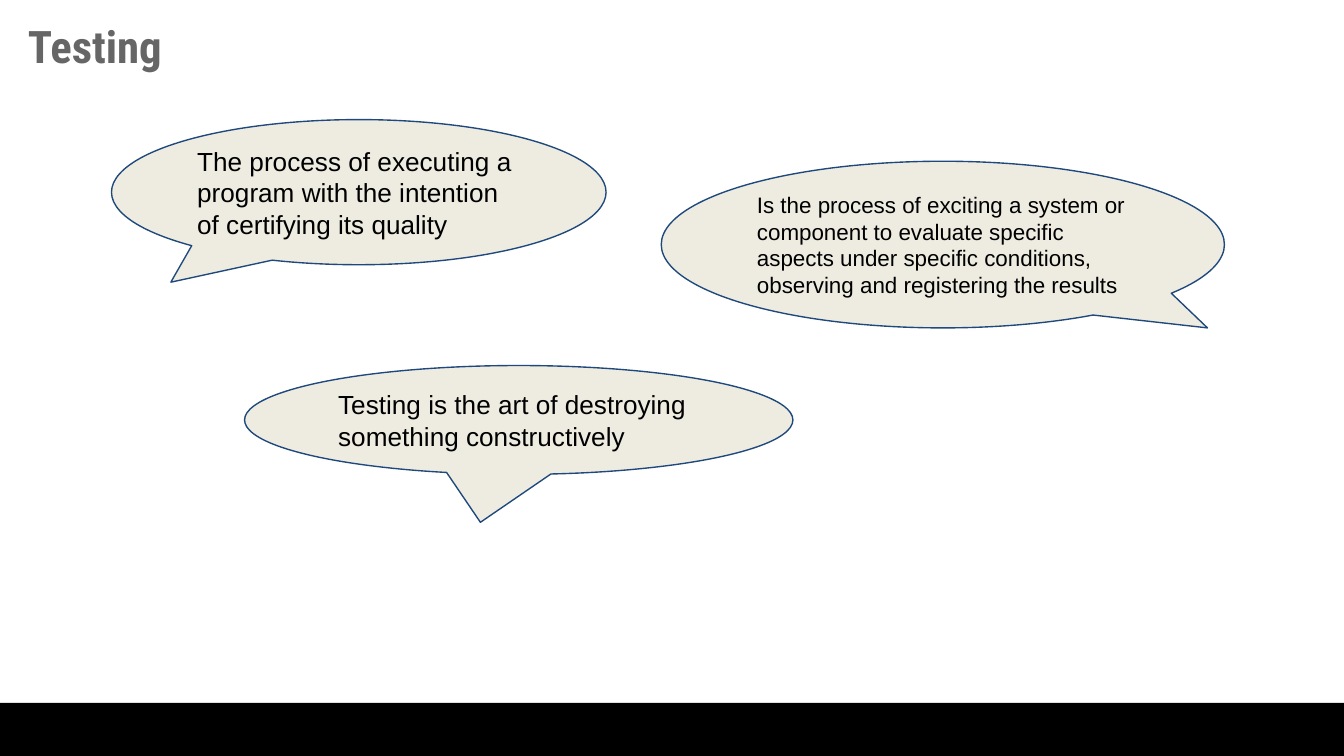
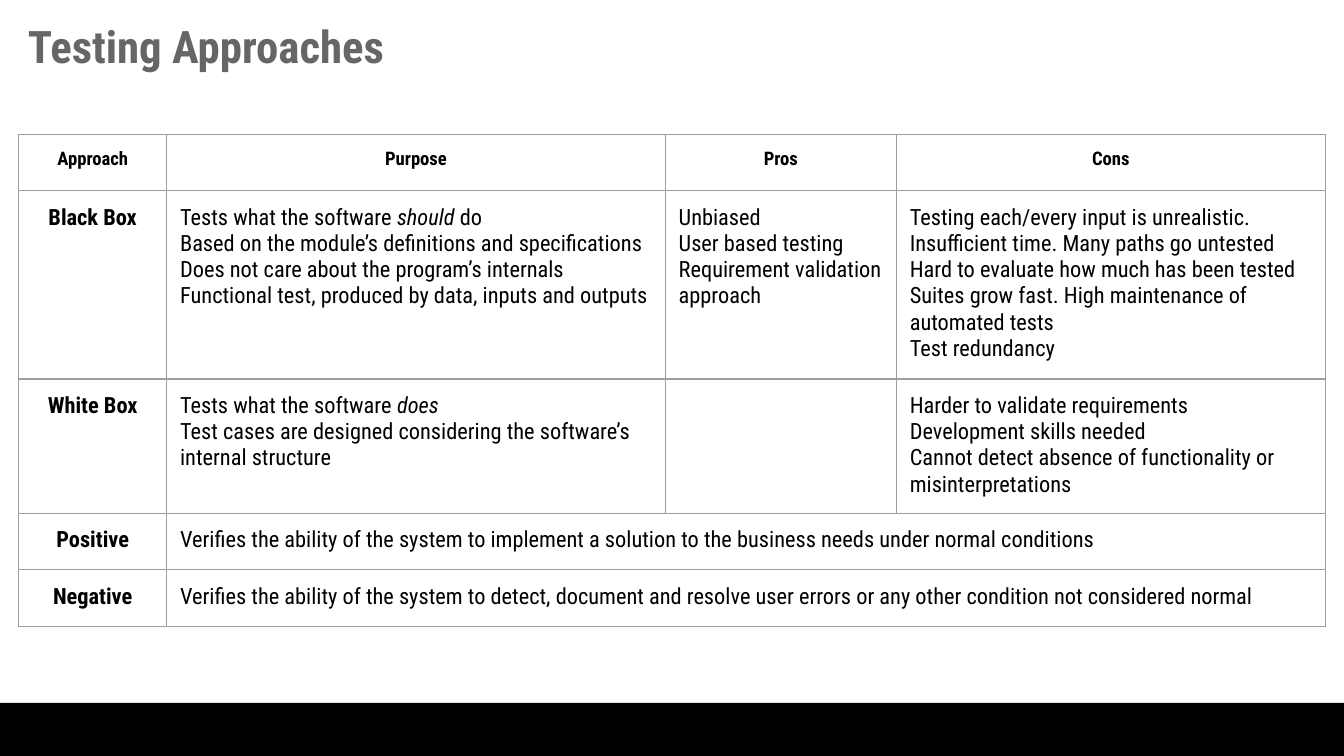
"""Builds two slides about software testing: definitions and approaches."""
from lxml.etree import SubElement
from pptx import Presentation
from pptx.dml.color import RGBColor
from pptx.enum.shapes import MSO_SHAPE as Shape
from pptx.enum.text import MSO_ANCHOR as Anchor, PP_ALIGN as Align
from pptx.oxml.ns import qn
from pptx.util import Inches, Pt

BLACK = RGBColor(0x00, 0x00, 0x00)
TITLE_GRAY = RGBColor(0x66, 0x66, 0x66)
BUBBLE_CREAM = RGBColor(0xEE, 0xEC, 0xE1)
BUBBLE_BLUE = RGBColor(0x1F, 0x49, 0x7D)
BORDER_GRAY = RGBColor(0x9E, 0x9E, 0x9E)
HEADING_FONT = "Roboto Condensed"
BUBBLE_FONT = "Arial"

deck = Presentation()
deck.slide_width = Inches(10)
deck.slide_height = Inches(5.625)
COLUMN = deck.slide_width / 100
ROW = deck.slide_height / 56.25
MARGIN = int(COLUMN)


def place(left, top, width, height):
    return int(left * COLUMN), int(top * ROW), int(width * COLUMN), int(height * ROW)


def write(holder, lines, font, size, color=BLACK, bold=False, align=Align.LEFT):
    frame = holder.text_frame
    frame.word_wrap = True
    for side in ("left", "right", "top", "bottom"):
        setattr(holder if hasattr(holder, "margin_left") else frame, f"margin_{side}", MARGIN)
    for index, line in enumerate(lines):
        para = frame.add_paragraph() if index else frame.paragraphs[0]
        para.alignment = align
        para.font.name, para.font.size, para.font.bold = font, Pt(size), bold
        para.font.color.rgb = color
        for part, words in enumerate(line.split("*")):
            if words:
                span = para.add_run()
                span.text = words
                span.font.name, span.font.size, span.font.bold = font, Pt(size), bold
                span.font.color.rgb = color
                span.font.italic = part % 2 == 1


pages = []
for title in ("Testing", "Testing Approaches"):
    page = deck.slides.add_slide(deck.slide_layouts[6])
    footer = page.shapes.add_shape(Shape.RECTANGLE, *place(0, 52.3, 100, 3.95))
    footer.shadow.inherit = False
    footer.fill.solid()
    footer.fill.fore_color.rgb = BLACK
    footer.line.fill.background()
    box = page.shapes.add_textbox(*place(1.1, 0.4, 60.6, 5))
    write(box, [title], HEADING_FONT, 24, TITLE_GRAY, bold=True)
    pages.append(page)
definitions_page, approaches_page = pages

definitions = [
    ((49.2, 12, 41.9, 12.4), (0.47, 0.5), 12,
     "Is the process of exciting a system or component to evaluate specific aspects "
     "under specific conditions, observing and registering the results"),
    ((8.3, 8.9, 36.8, 10.8), (-0.38, 0.62), 14,
     "The process of executing a program with the intention of certifying its quality"),
    ((18.2, 27.2, 40.8, 8.1), (-0.07, 0.94), 14,
     "Testing is the art of destroying something constructively"),
]
for area, tip, size, definition in definitions:
    bubble = definitions_page.shapes.add_shape(Shape.OVAL_CALLOUT, *place(*area))
    bubble.adjustments[0], bubble.adjustments[1] = tip
    bubble.shadow.inherit = False
    bubble.fill.solid()
    bubble.fill.fore_color.rgb = BUBBLE_CREAM
    bubble.line.color.rgb = BUBBLE_BLUE
    bubble.line.width = Pt(0.75)
    bubble.text_frame.vertical_anchor = Anchor.MIDDLE
    write(bubble, [definition], BUBBLE_FONT, size)

approaches = [
    [["Approach"], ["Purpose"], ["Pros"], ["Cons"]],
    [["Black Box"],
     ["Tests what the software *should* do",
      "Based on the module’s definitions and specifications",
      "Does not care about the program’s internals",
      "Functional test, produced by data, inputs and outputs"],
     ["Unbiased", "User based testing", "Requirement validation approach"],
     ["Testing each/every input is unrealistic. Insufficient time. Many paths go untested",
      "Hard to evaluate how much has been tested",
      "Suites grow fast. High maintenance of automated tests",
      "Test redundancy"]],
    [["White Box"],
     ["Tests what the software *does*",
      "Test cases are designed considering the software’s internal structure"],
     [""],
     ["Harder to validate requirements",
      "Development skills needed",
      "Cannot detect absence of functionality or misinterpretations"]],
    [["Positive"],
     ["Verifies the ability of the system to implement a solution to the business needs "
      "under normal conditions"]],
    [["Negative"],
     ["Verifies the ability of the system to detect, document and resolve user errors "
      "or any other condition not considered normal"]],
]
column_widths = [11, 37.1, 17.2, 31.9]
row_heights = [4.2, 10.2, 7.7, 4.2, 4.2]
area = place(1.4, 10, sum(column_widths), sum(row_heights))
table = approaches_page.shapes.add_table(len(row_heights), len(column_widths), *area).table
table.first_row = table.horz_banding = False
for column, width in zip(table.columns, column_widths):
    column.width = int(width * COLUMN)
for row, height in zip(table.rows, row_heights):
    row.height = int(height * ROW)

for cell in table.iter_cells():
    properties = cell._tc.get_or_add_tcPr()
    for edge in ("a:lnL", "a:lnR", "a:lnT", "a:lnB"):
        border = SubElement(properties, qn(edge), w=str(Pt(0.75)))
        SubElement(SubElement(border, qn("a:solidFill")), qn("a:srgbClr"), val=str(BORDER_GRAY))
    cell.fill.background()

for r, entries in enumerate(approaches):
    if len(entries) < len(column_widths):
        table.cell(r, 1).merge(table.cell(r, len(column_widths) - 1))
    for c, lines in enumerate(entries):
        heading = r == 0 or c == 0
        write(table.cell(r, c), lines, HEADING_FONT, 12 if r else 10, bold=heading,
              align=Align.CENTER if heading else Align.LEFT)

deck.save("out.pptx")
